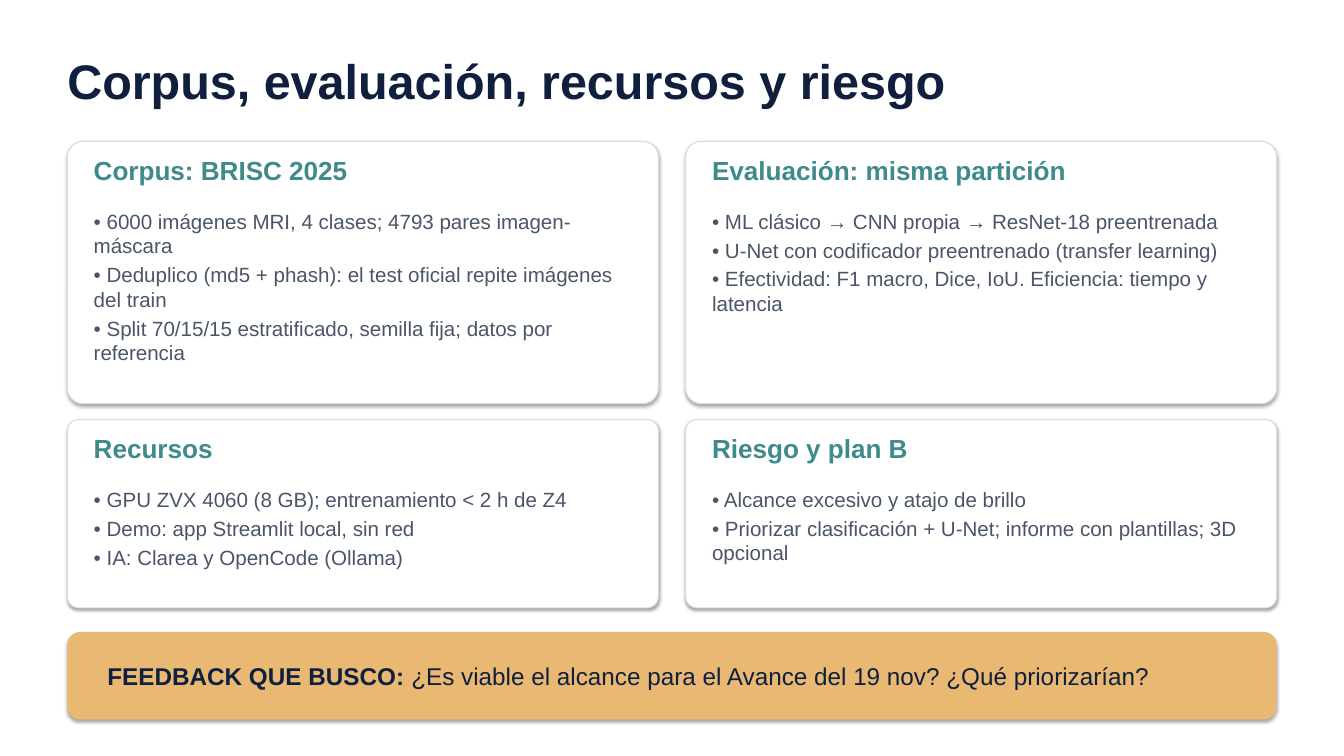
from lxml import etree
from pptx import Presentation
from pptx.dml.color import RGBColor
from pptx.enum.shapes import MSO_SHAPE
from pptx.enum.text import MSO_ANCHOR, MSO_AUTO_SIZE
from pptx.oxml import parse_xml
from pptx.oxml.ns import nsdecls
from pptx.util import Inches, Pt

ROUNDED = MSO_SHAPE.ROUNDED_RECTANGLE
TOP = MSO_ANCHOR.TOP
MIDDLE = MSO_ANCHOR.MIDDLE
GROW = MSO_AUTO_SIZE.SHAPE_TO_FIT_TEXT

COLORS = {
    "white": "FFFFFF",
    "navy": "0F1F3D",
    "teal": "3F8A8A",
    "gray": "4A5568",
    "border": "D5DDE3",
    "amber": "E9B872",
    "shadow": "000000",
}
FONT = "Arial"
MARGIN = 0.89
CONTENT_WIDTH = 16
CARD_WIDTH = 7.82
CARD_PADDING = 0.35
COLUMN_LEFTS = (MARGIN, MARGIN + CONTENT_WIDTH - CARD_WIDTH)

# Each row: top, height and its two cards
CARD_ROWS = [
    (1.87, 3.47, [
        ("Corpus: BRISC 2025", [
            "6000 imágenes MRI, 4 clases; 4793 pares imagen-máscara",
            "Deduplico (md5 + phash): el test oficial repite imágenes del train",
            "Split 70/15/15 estratificado, semilla fija; datos por referencia",
        ]),
        ("Evaluación: misma partición", [
            "ML clásico → CNN propia → ResNet-18 preentrenada",
            "U-Net con codificador preentrenado (transfer learning)",
            "Efectividad: F1 macro, Dice, IoU. Eficiencia: tiempo y latencia",
        ]),
    ]),
    (5.55, 2.49, [
        ("Recursos", [
            "GPU ZVX 4060 (8 GB); entrenamiento < 2 h de Z4",
            "Demo: app Streamlit local, sin red",
            "IA: Clarea y OpenCode (Ollama)",
        ]),
        ("Riesgo y plan B", [
            "Alcance excesivo y atajo de brillo",
            "Priorizar clasificación + U-Net; informe con plantillas; 3D opcional",
        ]),
    ]),
]


def rgb(name):
    return RGBColor.from_string(COLORS[name])


class SlideBuilder:
    def __init__(self, slide):
        self.slide = slide
        background = slide.background.fill
        background.solid()
        background.fore_color.rgb = rgb("white")

    def panel(self, left, top, width, height, fill, corner, border=None):
        shape = self.slide.shapes.add_shape(
            ROUNDED, Inches(left), Inches(top), Inches(width), Inches(height))
        shape.adjustments[0] = corner
        shape.fill.solid()
        shape.fill.fore_color.rgb = rgb(fill)
        if border:
            shape.line.color.rgb = rgb(border)
            shape.line.width = Pt(1)
        else:
            shape.line.fill.background()
        self.soft_shadow(shape)

    def soft_shadow(self, shape):
        """Replace the theme shadow with a short one that falls downwards."""
        shape.shadow.inherit = False
        effects = shape._element.spPr.find(
            etree.QName("http://schemas.openxmlformats.org/drawingml/2006/main", "effectLst"))
        effects.append(parse_xml(
            f'<a:outerShdw {nsdecls("a")} blurRad="{Pt(3.1)}" dist="{Pt(1.8)}" '
            f'dir="5400000" algn="t" rotWithShape="0"><a:srgbClr val="{COLORS["shadow"]}">'
            '<a:alpha val="35000"/></a:srgbClr></a:outerShdw>'))

    def text(self, left, top, width, height, paragraphs, size, color,
             bold=None, anchor=TOP):
        """Write paragraphs, each a list of (text, bold) runs or a plain string."""
        box = self.slide.shapes.add_textbox(
            Inches(left), Inches(top), Inches(width), Inches(height))
        frame = box.text_frame
        frame.word_wrap = True
        frame.auto_size = GROW
        frame.vertical_anchor = anchor
        frame.margin_left = frame.margin_right = 0
        frame.margin_top = frame.margin_bottom = 0
        for index, content in enumerate(paragraphs):
            paragraph = frame.add_paragraph() if index else frame.paragraphs[0]
            paragraph.space_after = Pt(4)
            paragraph.font.name = FONT
            paragraph.font.size = Pt(size)
            paragraph.font.bold = bold
            paragraph.font.color.rgb = rgb(color)
            runs = [(content, bold)] if isinstance(content, str) else content
            for run_text, run_bold in runs:
                run = paragraph.add_run()
                run.text = run_text
                if run_bold != bold:
                    run.font.bold = run_bold

    def title(self, text):
        self.text(MARGIN, 0.44, CONTENT_WIDTH, 1.24, [text], 46.2, "navy",
                  bold=True, anchor=MIDDLE)

    def card(self, left, top, height, heading, items):
        self.panel(left, top, CARD_WIDTH, height, "white", 0.06, "border")
        text_left = left + CARD_PADDING
        text_width = CARD_WIDTH - 2 * CARD_PADDING
        self.text(text_left, top + 0.17, text_width, 0.62, [heading], 24.9,
                  "teal", bold=True)
        self.text(text_left, top + 0.89, text_width, height - 0.98,
                  [f"• {item}" for item in items], 19.6, "gray")

    def feedback_bar(self, label, question):
        top, height, padding = 8.36, 1.16, 0.53
        self.panel(MARGIN, top, CONTENT_WIDTH, height, "amber", 0.15)
        self.text(MARGIN + padding, top, CONTENT_WIDTH - 2 * padding, height,
                  [[(label, True), (question, False)]], 23.1, "navy", anchor=MIDDLE)


def main():
    presentation = Presentation()
    presentation.slide_width = Inches(17.78)
    presentation.slide_height = Inches(10)
    blank_layout = presentation.slide_layouts[6]
    builder = SlideBuilder(presentation.slides.add_slide(blank_layout))

    builder.title("Corpus, evaluación, recursos y riesgo")
    for top, height, cards in CARD_ROWS:
        for left, (heading, items) in zip(COLUMN_LEFTS, cards):
            builder.card(left, top, height, heading, items)
    builder.feedback_bar(
        "FEEDBACK QUE BUSCO: ",
        "¿Es viable el alcance para el Avance del 19 nov? ¿Qué priorizarían?")

    presentation.save("out.pptx")


if __name__ == "__main__":
    main()
